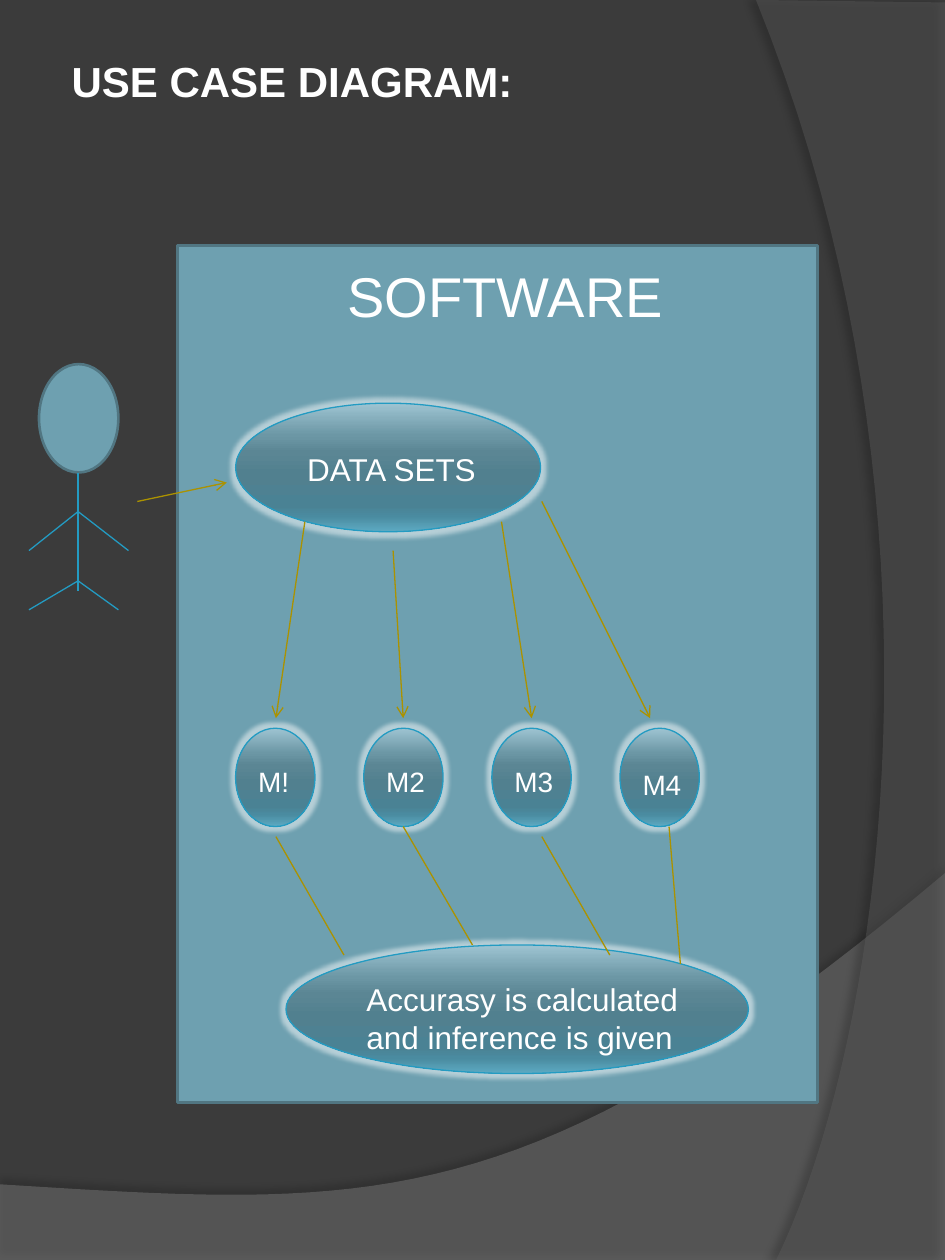
from lxml import etree
from pptx import Presentation
from pptx.dml.color import RGBColor
from pptx.enum.shapes import MSO_CONNECTOR, MSO_SHAPE
from pptx.oxml.ns import qn
from pptx.util import Inches, Pt

STRAIGHT = MSO_CONNECTOR.STRAIGHT
RECTANGLE = MSO_SHAPE.RECTANGLE
OVAL = MSO_SHAPE.OVAL
NODE = MSO_SHAPE.FLOWCHART_CONNECTOR

BACKGROUND = RGBColor(0x3B, 0x3B, 0x3B)
WHITE = RGBColor(0xFF, 0xFF, 0xFF)
BLACK = RGBColor(0x00, 0x00, 0x00)
LOWER_GREY = RGBColor(0x7F, 0x7F, 0x7F)
RIGHT_GREY = RGBColor(0x5E, 0x5E, 0x5E)
TEAL = RGBColor(0x6E, 0xA0, 0xB0)
TEAL_EDGE = RGBColor(0x51, 0x76, 0x82)
BLUE = RGBColor(0x23, 0x9B, 0xC2)
GOLD = RGBColor(0xAB, 0x92, 0x00)
GLOSS = [
    (0, RGBColor(0x9E, 0xC4, 0xD2)),
    (25, RGBColor(0x6C, 0x97, 0xA5)),
    (38, RGBColor(0x5B, 0x86, 0x94)),
    (55, RGBColor(0x51, 0x80, 0x8F)),
    (80, RGBColor(0x4A, 0x82, 0x94)),
    (88, RGBColor(0x4A, 0x8B, 0xA0)),
    (100, RGBColor(0x5D, 0xAA, 0xC2)),
]


def add_color(parent, color, alpha=100):
    node = etree.SubElement(parent, qn("a:srgbClr"), val=str(color))
    if alpha < 100:
        etree.SubElement(node, qn("a:alpha"), val=str(alpha * 1000))


def add_label(text, left, top, width, height, size, bold=None):
    frame = slide.shapes.add_textbox(
        Inches(left), Inches(top), Inches(width), Inches(height)
    ).text_frame
    frame.word_wrap = True
    frame.text = text
    font = frame.paragraphs[0].runs[0].font
    font.name = "Arial"
    font.size = Pt(size)
    font.bold = bold
    font.color.rgb = WHITE


prs = Presentation()
prs.slide_width = Inches(7.5)
prs.slide_height = Inches(10)
slide = prs.slides.add_slide(prs.slide_layouts[6])
slide.background.fill.solid()
slide.background.fill.fore_color.rgb = BACKGROUND

lower_wave = (
    [(0, 10), (7.5, 10)],
    [(7.5, 6.93), (4.19, 9.72), (2.93, 9.58), (0, 9.4)],
    LOWER_GREY, 45, 35, 3.5, 270,
)
right_wave = (
    [(7.5, 0.02), (7.5, 10)],
    [(6.16, 10), (7.01, 8.26), (7.63, 4.01), (6, 0)],
    RIGHT_GREY, 40, 45, 4, 180,
)
for corners, curve, color, alpha, shade, distance, direction in (lower_wave, right_wave):
    outline = list(corners)
    for step in range(41):
        t = step / 40
        weights = ((1 - t) ** 3, 3 * t * (1 - t) ** 2, 3 * t ** 2 * (1 - t), t ** 3)
        outline.append(tuple(
            sum(w * point[axis] for w, point in zip(weights, curve)) for axis in (0, 1)
        ))
    points = [(Inches(x), Inches(y)) for x, y in outline]
    builder = slide.shapes.build_freeform(*points[0])
    builder.add_line_segments(points[1:])
    wave = builder.convert_to_shape()
    wave.fill.solid()
    wave.fill.fore_color.rgb = color
    wave.line.fill.background()
    wave.shadow.inherit = False
    props = wave.element.spPr
    fill_color = props.find(qn("a:solidFill")).find(qn("a:srgbClr"))
    etree.SubElement(fill_color, qn("a:alpha"), val=str(alpha * 1000))
    shadow = etree.SubElement(
        props.find(qn("a:effectLst")), qn("a:outerShdw"),
        blurRad=str(Pt(4)), dist=str(Pt(distance)), dir=str(direction * 60000),
        algn="ctr", rotWithShape="0",
    )
    add_color(shadow, BLACK, shade)

for kind, left, top, width, height in (
    (RECTANGLE, 1.41, 1.95, 5.08, 6.8),
    (NODE, 0.31, 2.89, 0.63, 0.86),
):
    panel = slide.shapes.add_shape(
        kind, Inches(left), Inches(top), Inches(width), Inches(height)
    )
    panel.shadow.inherit = False
    panel.fill.solid()
    panel.fill.fore_color.rgb = TEAL
    panel.line.color.rgb = TEAL_EDGE
    panel.line.width = Pt(1.5)

models = [
    (text, 1.87 + 1.017 * i) for i, text in enumerate(("M!", "M2", "M3", "M4"))
]
bubbles = [(OVAL, 1.87, 3.2, 2.42, 1.02), (OVAL, 2.27, 7.5, 3.67, 1.02)]
bubbles += [(NODE, left, 5.78, 0.63, 0.78) for text, left in models]
for kind, left, top, width, height in bubbles:
    bubble = slide.shapes.add_shape(
        kind, Inches(left), Inches(top), Inches(width), Inches(height)
    )
    bubble.fill.gradient()
    bubble.fill.gradient_angle = 270
    bubble.line.color.rgb = BLUE
    bubble.line.width = Pt(0.75)
    bubble.shadow.inherit = False
    props = bubble.element.spPr
    stops = props.find(qn("a:gradFill")).find(qn("a:gsLst"))
    for stop in list(stops):
        stops.remove(stop)
    for position, color in GLOSS:
        add_color(etree.SubElement(stops, qn("a:gs"), pos=str(position * 1000)), color)
    glow = etree.SubElement(
        props.find(qn("a:effectLst")), qn("a:glow"), rad=str(Pt(5))
    )
    add_color(glow, WHITE, 50)

add_label("USE CASE DIAGRAM:", 0.47, 0.39, 4.06, 0.5, 24, True)
add_label("SOFTWARE", 2.66, 2.03, 2.89, 0.64, 32)
add_label("DATA SETS", 2.34, 3.52, 1.56, 0.4, 18)
for text, left in models:
    top = 6.04 if text == "M4" else 6.02
    add_label(text, left + 0.08, top, 0.63, 0.37, 16)

arrows = [
    (2.42, 4.14, 2.19, 5.7),
    (4.3, 3.98, 5.16, 5.7),
    (3.98, 4.14, 4.22, 5.7),
    (3.12, 4.37, 3.2, 5.7),
    (1.09, 3.98, 1.8, 3.83),
]
result_links = [
    (2.19, 6.64, 2.73, 7.58),
    (3.2, 6.56, 3.75, 7.5),
    (4.3, 6.64, 4.84, 7.58),
    (5.31, 6.56, 5.4, 7.65),
]
actor_limbs = [
    (0.62, 3.75, 0.62, 4.69),
    (0.62, 4.61, 0.23, 4.84),
    (0.62, 4.61, 0.94, 4.84),
    (0.62, 4.06, 1.02, 4.37),
    (0.62, 4.06, 0.23, 4.37),
]
for segments, color, has_head in (
    (arrows, GOLD, True),
    (result_links, GOLD, False),
    (actor_limbs, BLUE, False),
):
    for ends in segments:
        link = slide.shapes.add_connector(STRAIGHT, *[Inches(v) for v in ends])
        link.line.color.rgb = color
        link.line.width = Pt(0.75)
        props = link.element.spPr
        if has_head:
            etree.SubElement(props.find(qn("a:ln")), qn("a:tailEnd"), type="arrow")
        etree.SubElement(props, qn("a:effectLst"))

add_label("Accurasy is calculated and inference is given", 2.81, 7.73, 2.89, 0.71, 18)

prs.save("out.pptx")
